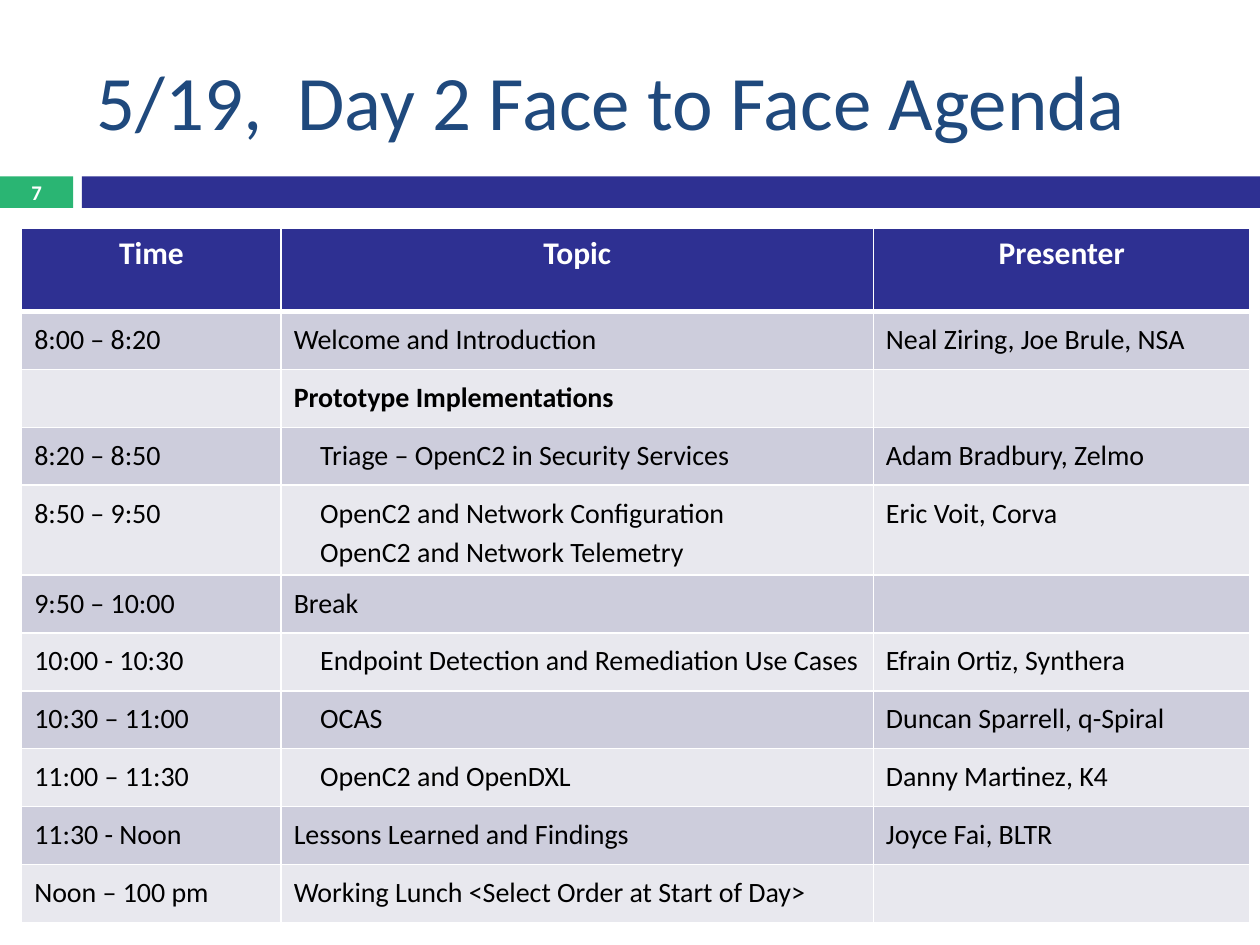
from dataclasses import dataclass

from lxml import etree
from pptx import Presentation
from pptx.dml.color import RGBColor
from pptx.enum.shapes import MSO_SHAPE
from pptx.enum.text import MSO_ANCHOR, PP_ALIGN
from pptx.oxml.ns import qn
from pptx.util import Pt

RECTANGLE = MSO_SHAPE.RECTANGLE
MIDDLE = MSO_ANCHOR.MIDDLE
LEFT, CENTER = PP_ALIGN.LEFT, PP_ALIGN.CENTER
TITLE_ONLY = 5


@dataclass(frozen=True)
class Theme:
    font: str = "Calibri"
    title: str = "1F497D"
    navy: str = "2E3092"
    green: str = "2AB573"
    white: str = "FFFFFF"
    black: str = "000000"
    bands: tuple = ("CDCDDC", "E8E8EE")
    title_size: float = 44
    header_size: float = 18
    body_size: float = 16
    number_size: float = 11.9


THEME = Theme()

HEADERS = ("Time", "Topic", "Presenter")
COLUMN_WIDTHS = (148.3, 338.4, 215.3)
HEADER_HEIGHT, ROW_HEIGHT, TWO_LINE_HEIGHT = 47.5, 33.1, 46.1
TALK_INDENT = 15.1

# Time, topic lines, presenter, kind of topic
AGENDA = (
    ("8:00 – 8:20", "Welcome and Introduction", "Neal Ziring, Joe Brule, NSA", "plain"),
    ("", "Prototype Implementations", "", "heading"),
    ("8:20 – 8:50", "Triage – OpenC2 in Security Services", "Adam Bradbury, Zelmo", "talk"),
    ("8:50 – 9:50", "OpenC2 and Network Configuration\nOpenC2 and Network Telemetry",
     "Eric Voit, Corva", "talk"),
    ("9:50 – 10:00", "Break", "", "plain"),
    ("10:00 - 10:30", "Endpoint Detection and Remediation Use Cases",
     "Efrain Ortiz, Synthera", "talk"),
    ("10:30 – 11:00", "OCAS", "Duncan Sparrell, q-Spiral", "talk"),
    ("11:00 – 11:30", "OpenC2 and OpenDXL", "Danny Martinez, K4", "talk"),
    ("11:30 - Noon", "Lessons Learned and Findings", "Joyce Fai, BLTR", "plain"),
    ("Noon – 100 pm", "Working Lunch <Select Order at Start of Day>", "", "plain"),
)


def write_text(text_frame, text, *, size, color, bold=False, align=LEFT,
               line_spacing=None, indent=0):
    """Write one paragraph per line of text."""
    for index, line in enumerate(text.split("\n")):
        paragraph = text_frame.paragraphs[0] if index == 0 else text_frame.add_paragraph()
        paragraph.alignment = align
        if line_spacing:
            paragraph.line_spacing = line_spacing
        if indent:
            properties = paragraph._p.get_or_add_pPr()
            properties.set("marL", str(Pt(indent)))
            properties.set("indent", "0")
        run = paragraph.add_run()
        run.text = line
        run.font.name = THEME.font
        run.font.size = Pt(size)
        run.font.bold = bold
        run.font.color.rgb = RGBColor.from_string(color)


def add_title(slide, text):
    title = slide.shapes.title
    title.left, title.top, title.width, title.height = Pt(48.2), Pt(18), Pt(642.2), Pt(77.8)
    title.text_frame.vertical_anchor = MIDDLE
    write_text(title.text_frame, text, size=THEME.title_size, color=THEME.title)


def add_bar(slide, left, width, color):
    bar = slide.shapes.add_shape(RECTANGLE, Pt(left), Pt(100.8), Pt(width), Pt(18))
    bar.shadow.inherit = False
    bar.fill.solid()
    bar.fill.fore_color.rgb = RGBColor.from_string(color)
    bar.line.fill.background()


def add_slide_number(slide, number):
    box = slide.shapes.add_textbox(Pt(0), Pt(100.1), Pt(41.8), Pt(19.4))
    box.text_frame.word_wrap = True
    box.text_frame.vertical_anchor = MIDDLE
    write_text(box.text_frame, number, size=THEME.number_size, color=THEME.white,
               bold=True, align=CENTER)


def format_cell(cell, fill, top=1, bottom=1):
    """Give a cell white borders and a solid fill; borders come first in the XML."""
    properties = cell._tc.get_or_add_tcPr()
    for side, width in (("L", 1), ("R", 1), ("T", top), ("B", bottom)):
        line = etree.SubElement(properties, qn(f"a:ln{side}"), w=str(Pt(width)))
        solid = etree.SubElement(line, qn("a:solidFill"))
        etree.SubElement(solid, qn("a:srgbClr"), val=THEME.white)
    cell.fill.solid()
    cell.fill.fore_color.rgb = RGBColor.from_string(fill)


def add_agenda(slide):
    frame = slide.shapes.add_table(len(AGENDA) + 1, len(HEADERS), Pt(12.4), Pt(130.5),
                                   Pt(sum(COLUMN_WIDTHS)), Pt(396))
    table = frame.table
    for column, width in zip(table.columns, COLUMN_WIDTHS):
        column.width = Pt(width)

    # Header row
    table.rows[0].height = Pt(HEADER_HEIGHT)
    for column, header in enumerate(HEADERS):
        cell = table.cell(0, column)
        format_cell(cell, THEME.navy, bottom=3)
        write_text(cell.text_frame, header, size=THEME.header_size, color=THEME.white,
                   bold=True, align=CENTER)

    # Banded agenda rows
    for row, (time, topic, presenter, kind) in enumerate(AGENDA, start=1):
        table.rows[row].height = Pt(TWO_LINE_HEIGHT if "\n" in topic else ROW_HEIGHT)
        for column, text in enumerate((time, topic, presenter)):
            cell = table.cell(row, column)
            format_cell(cell, THEME.bands[(row - 1) % 2], top=3 if row == 1 else 1)
            if text:
                is_topic = column == 1
                write_text(cell.text_frame, text, size=THEME.body_size, color=THEME.black,
                           bold=is_topic and kind == "heading", line_spacing=1.15,
                           indent=TALK_INDENT if is_topic and kind == "talk" else 0)


def main():
    presentation = Presentation()
    presentation.slide_width, presentation.slide_height = Pt(720), Pt(540)
    slide = presentation.slides.add_slide(presentation.slide_layouts[TITLE_ONLY])

    # Divider bars, with the slide number on the left one
    add_bar(slide, 0, 41.8, THEME.green)
    add_bar(slide, 46.8, 673.2, THEME.navy)
    add_title(slide, "5/19,  Day 2 Face to Face Agenda")
    add_slide_number(slide, "7")

    add_agenda(slide)
    presentation.save("out.pptx")


if __name__ == "__main__":
    main()
